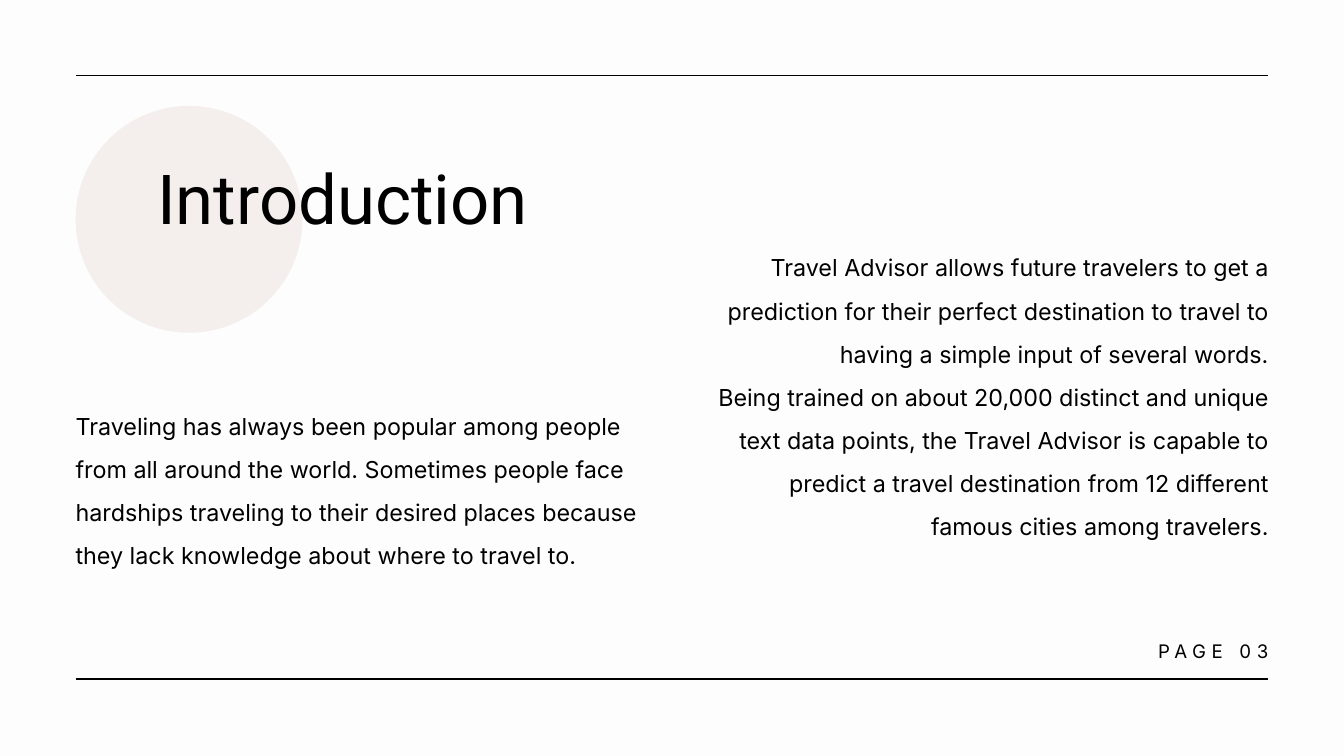
"""Build the Introduction slide of a travel deck."""
from lxml.etree import SubElement
from pptx import Presentation
from pptx.dml.color import RGBColor
from pptx.enum.shapes import MSO_CONNECTOR as Connector, MSO_SHAPE as Shape
from pptx.enum.text import MSO_AUTO_SIZE as AutoSize, PP_ALIGN as Align
from pptx.oxml.ns import qn
from pptx.util import Pt

BLACK = RGBColor(0x00, 0x00, 0x00)
PAPER = RGBColor(0xFD, 0xFD, 0xFD)
BLUSH = RGBColor(0xF4, 0xEF, 0xED)

WIDTH, HEIGHT, MARGIN = 1440, 810, 81
RIGHT = WIDTH - MARGIN

TRAVELERS = [
    "Traveling has always been popular among people from all around the world. "
    "Sometimes people face hardships traveling to their desired places because "
    "they lack knowledge about where to travel to.",
]
ADVISOR = [
    "Travel Advisor allows future travelers to get a prediction for their perfect "
    "destination to travel to having a simple input of several words.",
    "Being trained on about 20,000 distinct and unique text data points, the Travel "
    "Advisor is capable to predict a travel destination from 12 different famous "
    "cities among travelers.",
]


def add_rule(slide, y):
    rule = slide.shapes.add_connector(
        Connector.STRAIGHT, Pt(MARGIN), Pt(y), Pt(RIGHT), Pt(y))
    rule.line.color.rgb = BLACK
    rule.line.width = Pt(1.5)
    SubElement(rule._element.spPr, qn("a:effectLst"))


def add_disc(slide, left, top, diameter):
    disc = slide.shapes.add_shape(
        Shape.OVAL, Pt(left), Pt(top), Pt(diameter), Pt(diameter))
    disc.shadow.inherit = False
    disc.fill.solid()
    disc.fill.fore_color.rgb = BLUSH
    disc.line.fill.background()


def add_text(slide, box, paragraphs, size, leading, font="Inter",
             align=Align.LEFT, tracking=0):
    frame = slide.shapes.add_textbox(*map(Pt, box)).text_frame
    frame.margin_left = frame.margin_right = 0
    frame.margin_top = frame.margin_bottom = 0
    frame.word_wrap = True
    frame.auto_size = AutoSize.SHAPE_TO_FIT_TEXT
    for index, text in enumerate(paragraphs):
        paragraph = frame.add_paragraph() if index else frame.paragraphs[0]
        paragraph.alignment = align
        paragraph.line_spacing = Pt(leading)
        run = paragraph.add_run()
        run.text = text
        run.font.name = font
        run.font.size = Pt(size)
        run.font.color.rgb = BLACK
        if tracking:
            run._r.get_or_add_rPr().set("spc", str(tracking * 100))


def main():
    deck = Presentation()
    deck.slide_width, deck.slide_height = Pt(WIDTH), Pt(HEIGHT)
    slide = deck.slides.add_slide(deck.slide_layouts[6])
    slide.background.fill.solid()
    slide.background.fill.fore_color.rgb = PAPER

    for y in (HEIGHT - MARGIN - 1.5, MARGIN):
        add_rule(slide, y)
    add_text(slide, (1126, 682, RIGHT - 1126, 27.5), ["PAGE 03"], 20, 28,
             align=Align.RIGHT, tracking=6)
    add_disc(slide, MARGIN, 113.5, 243)
    add_text(slide, (168.5, 152, 621.5, 101), ["Introduction"], 73.8, 103.3,
             font="Roboto")
    add_text(slide, (MARGIN, 425.5, 643, 179.5), TRAVELERS, 25, 46.2)
    add_text(slide, (762.5, 255.5, RIGHT - 762.5, 317), ADVISOR, 25, 46.2,
             align=Align.RIGHT)
    deck.save("out.pptx")


if __name__ == "__main__":
    main()
